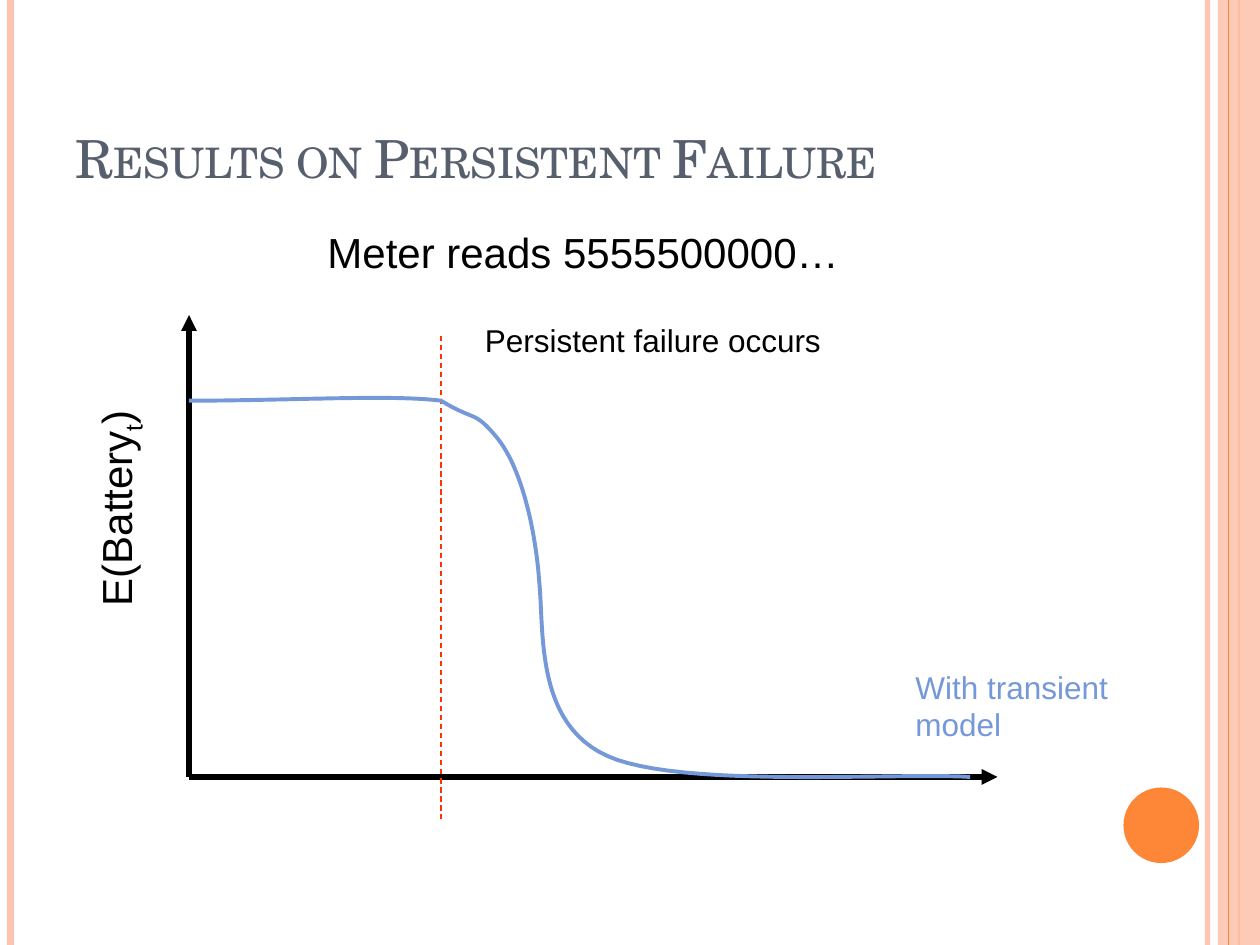
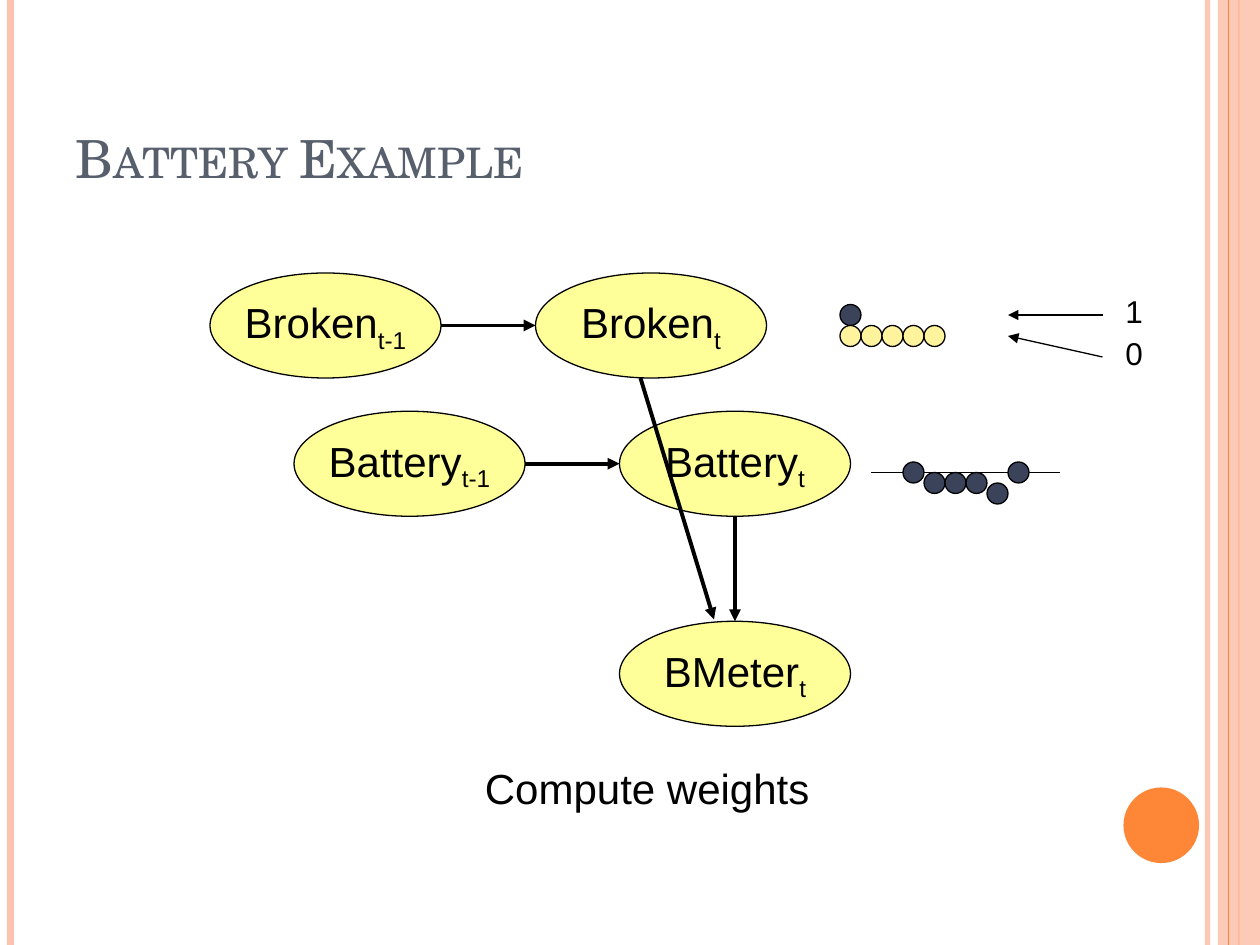
from dataclasses import dataclass

from lxml import etree
from pptx import Presentation
from pptx.dml.color import RGBColor
from pptx.enum.dml import MSO_LINE
from pptx.enum.shapes import MSO_CONNECTOR, MSO_SHAPE
from pptx.enum.text import MSO_ANCHOR, PP_ALIGN
from pptx.oxml.ns import qn
from pptx.util import Pt

STRAIGHT = MSO_CONNECTOR.STRAIGHT
RECTANGLE, OVAL = MSO_SHAPE.RECTANGLE, MSO_SHAPE.OVAL
DASH = MSO_LINE.DASH
TOP, MIDDLE, BOTTOM = MSO_ANCHOR.TOP, MSO_ANCHOR.MIDDLE, MSO_ANCHOR.BOTTOM
LEFT, CENTER = PP_ALIGN.LEFT, PP_ALIGN.CENTER


@dataclass(frozen=True)
class Theme:
    # Colours
    black: str = "000000"
    title: str = "575F6D"
    peach: str = "FEC3AE"
    orange: str = "FE8637"
    failure: str = "FF3300"
    curve: str = "7598D9"
    node: str = "FFFF99"
    dark_dot: str = "3B435B"
    light_dot: str = "FFF39D"
    # Fonts and type sizes
    title_font: str = "TeX Gyre Schola"
    body_font: str = "Arial"
    title_size: int = 30
    body_size: int = 24
    note_size: int = 18
    # Line widths
    thin: float = 0.75
    medium: float = 2.25
    thick: float = 3


WIDTH, HEIGHT = 720, 540
NODE_WIDTH, NODE_HEIGHT = 132, 60
DOT = 12


def set_all(target, values):
    for name, value in values.items():
        setattr(target, name, value)


def set_opacity(element, percent):
    for color in element.iter(qn("a:srgbClr")):
        etree.SubElement(color, qn("a:alpha"), val=str(percent * 1000))


class SlideMaker:
    def __init__(self, theme):
        self.theme = theme
        self.deck = Presentation()
        set_all(self.deck, {"slide_width": Pt(WIDTH), "slide_height": Pt(HEIGHT)})
        self.page = None

    def start_page(self, title):
        theme = self.theme
        self.page = self.deck.slides.add_slide(self.deck.slide_layouts[6])
        # Side bands and corner disc
        self.vertical_rule(690, theme.peach, theme.thick, opacity=93)
        self.vertical_rule(6, theme.peach, 4.5)
        self.vertical_rule(708, theme.orange, 1.5)
        self.shape(RECTANGLE, 696, 0, 24, HEIGHT, theme.peach, opacity=87)
        self.vertical_rule(702, theme.orange, theme.thin)
        self.shape(OVAL, 642, 450, 43.2, 43.2, theme.orange)
        # Title
        box = self.text([title], 36, 21.6, 588, 90, size=theme.title_size,
                        color=theme.title, font=theme.title_font, anchor=BOTTOM)
        for span in box.text_frame.paragraphs[0].runs:
            span._r.get_or_add_rPr().set("cap", "small")

    def vertical_rule(self, x, color, width, opacity=None):
        self.line((x, 0), (x, HEIGHT), color, width, opacity=opacity)

    def outline(self, shape, color, width):
        shape.line.color.rgb = RGBColor.from_string(color)
        shape.line.width = Pt(width)

    def line(self, start, end, color=None, width=None, arrow=False, dash=None, opacity=None):
        line = self.page.shapes.add_connector(STRAIGHT, *map(Pt, (*start, *end)))
        self.outline(line, color or self.theme.black, width or self.theme.thin)
        properties = line._element.spPr
        if dash:
            line.line.dash_style = dash
        if opacity:
            set_opacity(properties, opacity)
        if arrow:
            etree.SubElement(properties.find(qn("a:ln")), qn("a:tailEnd"), type="triangle")
        etree.SubElement(properties, qn("a:effectLst"))

    def shape(self, kind, x, y, width, height, fill, border=None, opacity=None):
        shape = self.page.shapes.add_shape(kind, *map(Pt, (x, y, width, height)))
        shape.shadow.inherit = False
        shape.fill.solid()
        shape.fill.fore_color.rgb = RGBColor.from_string(fill)
        if opacity:
            set_opacity(shape._element.spPr, opacity)
        if border:
            self.outline(shape, border, self.theme.thin)
        else:
            shape.line.fill.background()
        return shape

    def fill_text(self, box, spans, size, color, font, anchor=TOP, align=LEFT, wrap=True):
        """Set spans in turn on the baseline and as subscripts."""
        set_all(box.text_frame, {"word_wrap": wrap, "vertical_anchor": anchor})
        para = box.text_frame.paragraphs[0]
        para.alignment = align
        for index, words in enumerate(spans):
            span = para.add_run()
            span.text = words
            set_all(span.font, {"name": font, "size": Pt(size)})
            span.font.color.rgb = RGBColor.from_string(color)
            if index % 2:
                span._r.get_or_add_rPr().set("baseline", "-25000")

    def text(self, spans, x, y, width, height, size=None, color=None, font=None,
             anchor=TOP, rotation=0):
        theme = self.theme
        box = self.page.shapes.add_textbox(*map(Pt, (x, y, width, height)))
        box.rotation = rotation
        self.fill_text(box, spans, size or theme.body_size, color or theme.black,
                       font or theme.body_font, anchor)
        return box

    def node(self, spans, x, y):
        theme = self.theme
        oval = self.shape(OVAL, x, y, NODE_WIDTH, NODE_HEIGHT, theme.node, theme.black)
        self.fill_text(oval, spans, theme.body_size, theme.black, theme.body_font,
                       MIDDLE, CENTER, wrap=False)

    def dots(self, x, tops, color):
        for index, top in enumerate(tops):
            self.shape(OVAL, x + index * DOT, top, DOT, DOT, color, self.theme.black)

    def curve(self, start, segments, color, width, steps=24):
        """Draw cubic segments, each given by two control points and its end."""
        builder = self.page.shapes.build_freeform(*map(Pt, start))
        points = []
        for first, second, end in segments:
            corners = (start, first, second, end)
            for step in range(1, steps + 1):
                t = step / steps
                weights = ((1 - t) ** 3, 3 * t * (1 - t) ** 2, 3 * t * t * (1 - t), t ** 3)
                points.append(tuple(
                    Pt(sum(weight * corner[axis] for weight, corner in zip(weights, corners)))
                    for axis in (0, 1)))
            start = end
        builder.add_line_segments(points, close=False)
        shape = builder.convert_to_shape()
        shape.shadow.inherit = False
        shape.fill.background()
        self.outline(shape, color, width)


def persistent_failure(maker):
    theme = maker.theme
    maker.start_page("Results on Persistent Failure")

    # Axes
    origin = (108, 444)
    for axis_end in ((108, 180), (570, 444)):
        maker.line(origin, axis_end, width=theme.thick, arrow=True)
    maker.text(["E(Battery", "t", ")"], -9, 260.5, 150, 36, rotation=270)

    # Moment of failure
    maker.line((252, 192), (252, 468), theme.failure, dash=DASH)
    maker.text(["Persistent failure occurs"], 270, 180, 222, 29, theme.note_size)

    # Expected battery level
    maker.curve((108, 229), [
        ((166.3, 229), (222.5, 225.4), (252, 229)),
        ((272.2, 241.2), (270.7, 234), (284.4, 250.6)),
        ((298.1, 267.8), (306, 302.4), (308.2, 332.6)),
        ((311, 362.2), (306, 413.3), (347, 432)),
        ((388.1, 450.7), (511.2, 441.4), (554.4, 444)),
    ], theme.curve, theme.medium)
    maker.text(["With transient model"], 516, 378, 162, 50, theme.note_size, theme.curve)
    maker.text(["Meter reads 5555500000…"], 180, 126, 378, 36)


def battery_example(maker):
    theme = maker.theme
    maker.start_page("Battery Example")

    # State nodes, previous and current step
    column_step = 186
    rows = (("Broken", 120, 156), ("Battery", 168, 235))
    for name, left, top in rows:
        maker.node([name, "t-1"], left, top)
        maker.node([name, "t"], left + column_step, top)
    maker.node(["BMeter", "t"], 354, 355)

    # Dependencies
    arrows = [((left + NODE_WIDTH, top + NODE_HEIGHT / 2),
               (left + column_step, top + NODE_HEIGHT / 2)) for _, left, top in rows]
    arrows += [((420, 295), (420, 355)), ((366, 216), (408, 354))]
    for start, end in arrows:
        maker.line(start, end, width=theme.medium, arrow=True)

    # Particles for the broken state
    maker.dots(480, [174], theme.dark_dot)
    maker.dots(480, [186] * 5, theme.light_dot)
    for value, label_top, start_y, end_y in (("1", 163.5, 180, 180), ("0", 187.5, 204, 192)):
        maker.line((630, start_y), (576, end_y), arrow=True)
        maker.text([value], 636, label_top, 60, 29, theme.note_size)

    # Particles for the battery level
    maker.line((498, 270), (606, 270))
    maker.dots(516, (264, 270, 270, 270, 276, 264), theme.dark_dot)

    maker.text(["Compute weights"], 270, 432, 312, 36)


def main():
    maker = SlideMaker(Theme())
    persistent_failure(maker)
    battery_example(maker)
    maker.deck.save("out.pptx")


if __name__ == "__main__":
    main()
